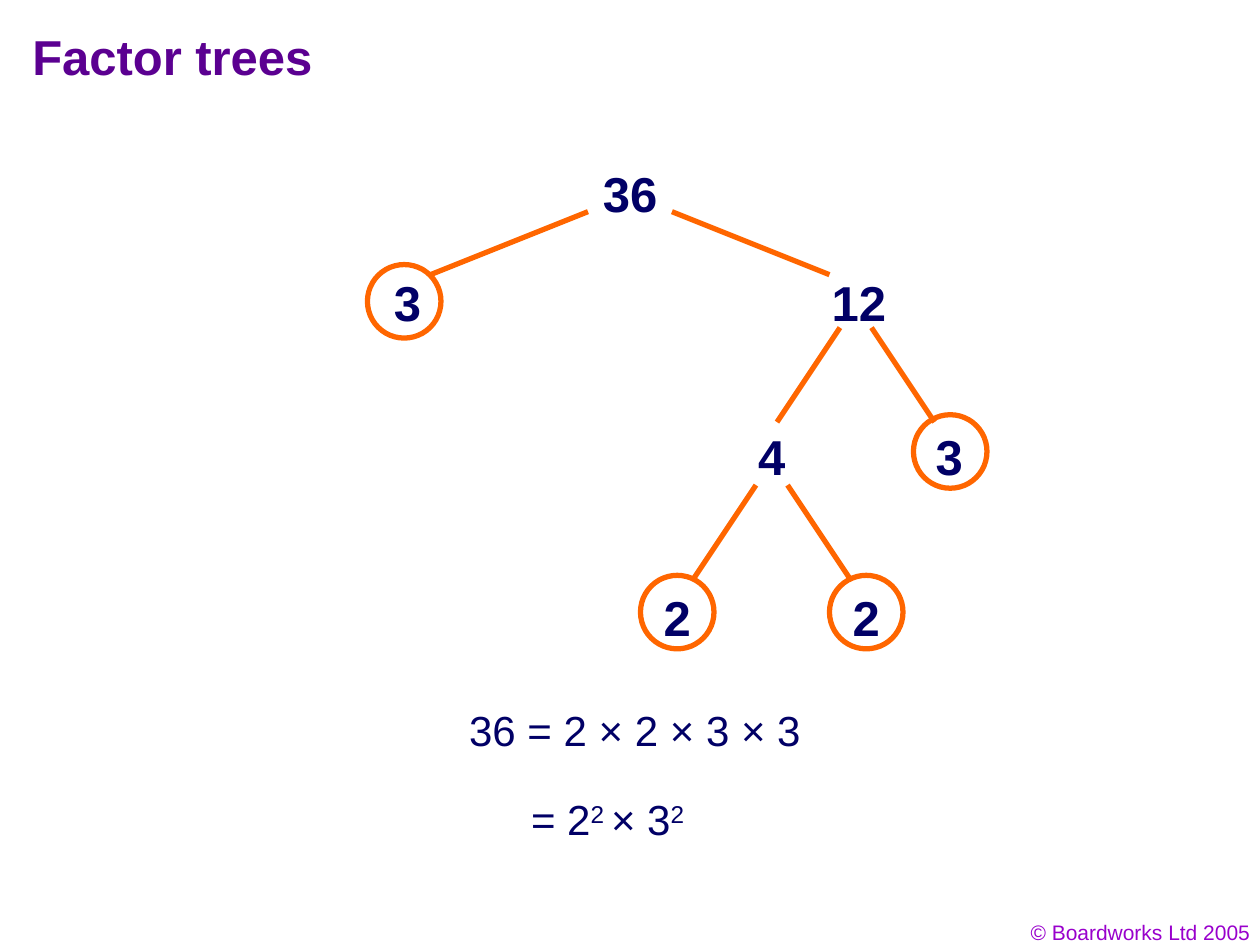
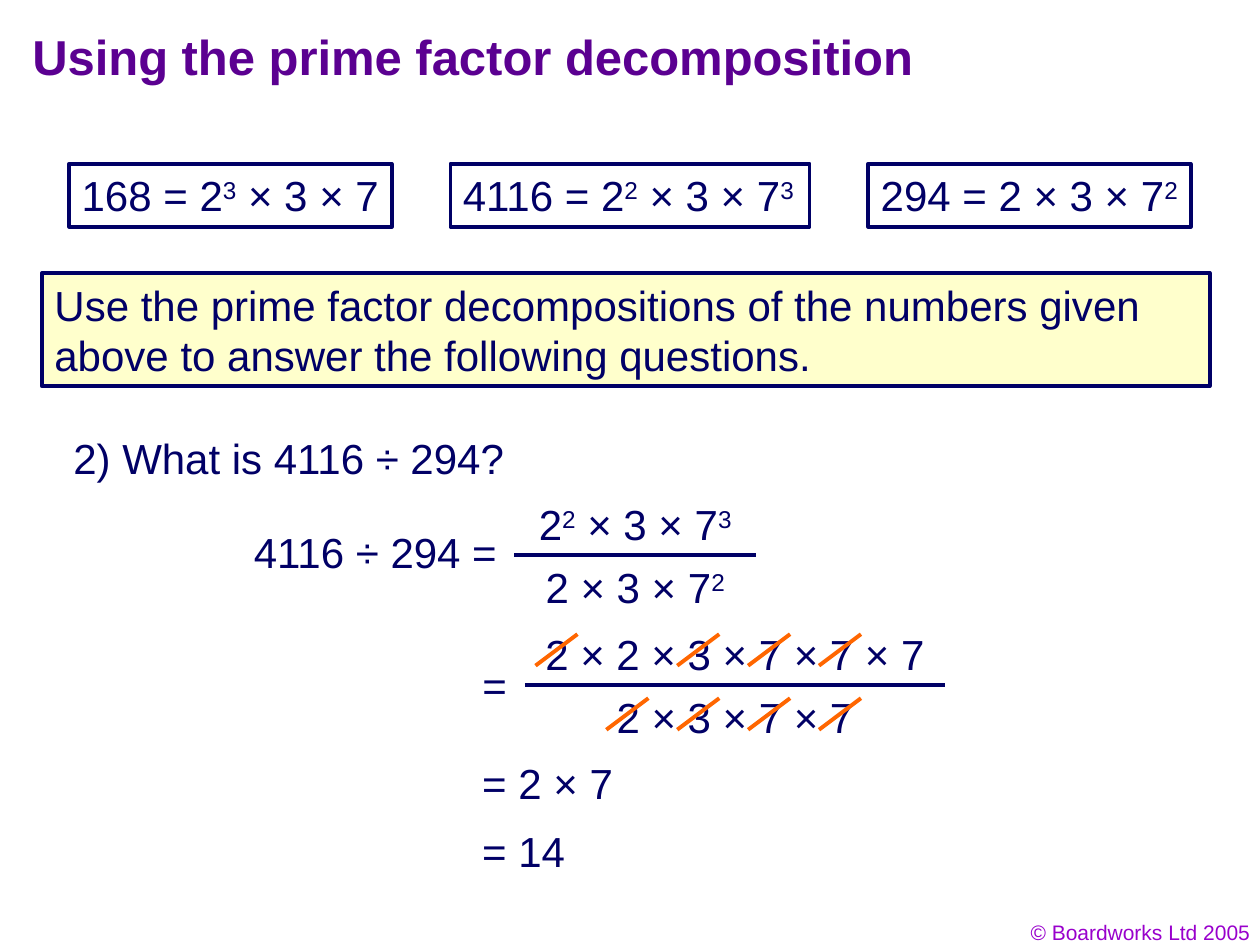
from dataclasses import dataclass

from pptx import Presentation
from pptx import util as u
from pptx.dml import color
from pptx.enum import shapes, text
from pptx.oxml import xmlchemy
from pptx.oxml import ns
from lxml import etree

# The slide is a grid of 120 columns by 90 rows
COLUMNS, ROWS = 120, 90
WIDTH, HEIGHT = u.Inches(10), u.Inches(7.5)
LINE_ROWS = 6  # height of one line of body text


@dataclass(frozen=True)
class Theme:
    font: str = "Arial"
    title: str = "5B0091"
    ink: str = "010066"
    rule: str = "000066"
    accent: str = "FF6600"
    note: str = "FFFFCC"
    footer: str = "9900CC"
    heading_size: int = 28
    body_size: int = 24
    footer_size: int = 12
    branch_weight: float = 3
    rule_weight: float = 2.25


THEME = Theme()


@dataclass(frozen=True)
class Box:
    """A region in grid columns and rows."""
    left: float
    top: float
    width: float
    height: float

    def inner(self, left, top, width, height):
        return Box(self.left + left, self.top + top, width, height)

    def point(self, column, row):
        return across(self.left + column), down(self.top + row)

    def place(self):
        return (across(self.left), down(self.top),
                across(self.width), down(self.height))


def across(columns):
    return round(WIDTH * columns / COLUMNS)


def down(rows):
    return round(HEIGHT * rows / ROWS)


def rgb(code):
    return color.RGBColor.from_string(code)


# Building parts

def write(shape, words, size=THEME.body_size, ink=THEME.ink, bold=False,
          align=text.PP_ALIGN.LEFT, wrap=False):
    """Fill a shape with one paragraph; parts between bars are superscript."""
    frame = shape.text_frame
    frame.word_wrap = wrap
    frame.vertical_anchor = text.MSO_ANCHOR.TOP
    para = frame.paragraphs[0]
    para.alignment = align
    for index, part in enumerate(words.split("|")):
        if part:
            span = para.add_run()
            span.text = part
            if index % 2:
                span._r.get_or_add_rPr().set("baseline", "30000")
    para.font.name = THEME.font
    para.font.size = u.Pt(size)
    para.font.bold = bold
    para.font.color.rgb = rgb(ink)


def add_text(page, box, words, **style):
    write(page.shapes.add_textbox(*box.place()), words, **style)


def add_outline(page, box, kind, line, weight, fill=None):
    shape = page.shapes.add_shape(kind, *box.place())
    shape.shadow.inherit = False
    shape.line.color.rgb = rgb(line)
    shape.line.width = u.Pt(weight)
    if fill:
        shape.fill.solid()
        shape.fill.fore_color.rgb = rgb(fill)
    else:
        shape.fill.background()
    return shape


def add_panel(page, box, words, fill=None, wrap=False):
    panel = add_outline(page, box, shapes.MSO_SHAPE.RECTANGLE,
                        THEME.rule, THEME.rule_weight, fill)
    write(panel, words, wrap=wrap)


def add_line(page, start, end, ink, weight):
    line = page.shapes.add_connector(shapes.MSO_CONNECTOR.STRAIGHT, *start, *end)
    line.line.color.rgb = rgb(ink)
    line.line.width = u.Pt(weight)
    etree.SubElement(line._element.spPr, ns.qn("a:effectLst"))


def add_page(deck, title):
    """Blank page with the shared title and footer."""
    page = deck.slides.add_slide(deck.slide_layouts[6])
    add_text(page, Box(92.25, 87, 28, 3.6), "© Boardworks Ltd 2005",
             size=THEME.footer_size, ink=THEME.footer,
             align=text.PP_ALIGN.RIGHT, wrap=True)
    add_text(page, Box(1.9, 1.9, 101, 7.3), title, size=THEME.heading_size,
             ink=THEME.title, bold=True, wrap=True)
    return page


# Factor tree

def draw_factor_tree(page, box):
    # Fork: centre column, top row, inner and outer half spread, drop
    forks = [(25, 5.16, 4, 19, 6),
             (46.5, 16.2, 1.5, 7.5, 9),
             (38.5, 31.2, 1.5, 7.5, 9)]
    for centre, top, inner, outer, drop in forks:
        for side in (-1, 1):
            add_line(page, box.point(centre + side * inner, top),
                     box.point(centre + side * outer, top + drop),
                     THEME.accent, THEME.branch_weight)

    # Number: label, centre column and row; primes add their ring's centre
    numbers = [("36", 25, 3.4, None),
               ("3", 3.8, 13.75, (3.5, 13.7)), ("12", 46.8, 13.75, None),
               ("4", 38.5, 28.4, None), ("3", 55.4, 28.4, (55.5, 28)),
               ("2", 29.5, 43.75, (29.5, 43.3)),
               ("2", 47.5, 43.75, (47.5, 43.3))]
    ring_size, label_height = 7, 6.8
    for label, column, row, ring in numbers:
        width = 2.4 + 2.6 * len(label)
        add_text(page, box.inner(column - width / 2, row - label_height / 2,
                                 width, label_height),
                 label, size=THEME.heading_size, bold=True,
                 align=text.PP_ALIGN.CENTER)
        if ring:
            ring_box = box.inner(ring[0] - ring_size / 2,
                                 ring[1] - ring_size / 2, ring_size, ring_size)
            add_outline(page, ring_box, shapes.MSO_SHAPE.OVAL,
                        THEME.accent, THEME.branch_weight)


def draw_product(page, box):
    add_text(page, box.inner(0, 0, 34, LINE_ROWS), "36 = 2 × 2 × 3 × 3")
    add_text(page, box.inner(5.9, 8.5, 17.4, LINE_ROWS), "= 2|2 |× 3|2|")


def build_tree_page(deck):
    page = add_page(deck, "Factor trees")
    draw_factor_tree(page, Box(35, 15, 59, 47))
    draw_product(page, Box(43.5, 66.5, 34, 14.5))


# Prime factor decomposition

def draw_facts(page, box):
    facts = [("168 = 2|3| × 3 × 7", 30.7),
             ("4116 = 2|2| × 3 × 7|3|", 34.2),
             ("294 = 2 × 3 × 7|2|", 30.7)]
    gap = (box.width - sum(width for _, width in facts)) / (len(facts) - 1)
    left = 0
    for words, width in facts:
        add_panel(page, box.inner(left, 0, width, box.height), words)
        left += width + gap


def draw_fraction(page, box, lead, bar_start, lead_row, top, bottom):
    """Lead text, then a bar across the middle row with a line on each side."""
    middle = box.height / 2
    bar_width = box.width - bar_start
    add_text(page, box.inner(0, lead_row, bar_start, LINE_ROWS), lead)
    for row, words in ((middle - LINE_ROWS, top), (middle, bottom)):
        add_text(page, box.inner(bar_start, row, bar_width, LINE_ROWS),
                 words, align=text.PP_ALIGN.CENTER)
    add_line(page, box.point(bar_start, middle), box.point(box.width, middle),
             THEME.rule, THEME.rule_weight)


def draw_strikes(page, box):
    """Cancel the factors that the two lines have in common."""
    step, width, height = 6.75, 4, 3
    for row, slots in ((0, (0, 2, 3, 4)), (6.1, (1, 2, 3, 4))):
        for slot in slots:
            add_line(page, box.point(slot * step, row + height),
                     box.point(slot * step + width, row),
                     THEME.accent, THEME.rule_weight)


def draw_results(page, box):
    for index, (words, width) in enumerate((("= 2 × 7", 14.9), ("= 14", 10.3))):
        add_text(page, box.inner(0, index * 6.4, width, LINE_ROWS), words)


def build_decomposition_page(deck):
    page = add_page(deck, "Using the prime factor decomposition")
    draw_facts(page, Box(6.6, 15.6, 106.8, LINE_ROWS))
    add_panel(page, Box(4, 26, 111.2, 10.8),
              "Use the prime factor decompositions of the numbers given "
              "above to answer the following questions.",
              fill=THEME.note, wrap=True)
    add_text(page, Box(5.8, 40.6, 43.7, LINE_ROWS), "2) What is 4116 ÷ 294?")
    draw_fraction(page, Box(23, 46.9, 49, 12), "4116 ÷ 294 =", 26, 2.7,
                  "2|2| × 3 × 7|3|", "2 × 3 × 7|2|")
    draw_fraction(page, Box(44.75, 59.25, 45.25, 12), "=", 5.25, 3,
                  "2 × 2 × 3 × 7 × 7 × 7", "2 × 3 × 7 × 7")
    draw_strikes(page, Box(51, 60.4, 31, 9.1))
    draw_results(page, Box(44.75, 71.6, 14.9, 12.4))


def main():
    deck = Presentation()
    deck.slide_width, deck.slide_height = WIDTH, HEIGHT
    build_tree_page(deck)
    build_decomposition_page(deck)
    deck.save("out.pptx")


if __name__ == "__main__":
    main()
